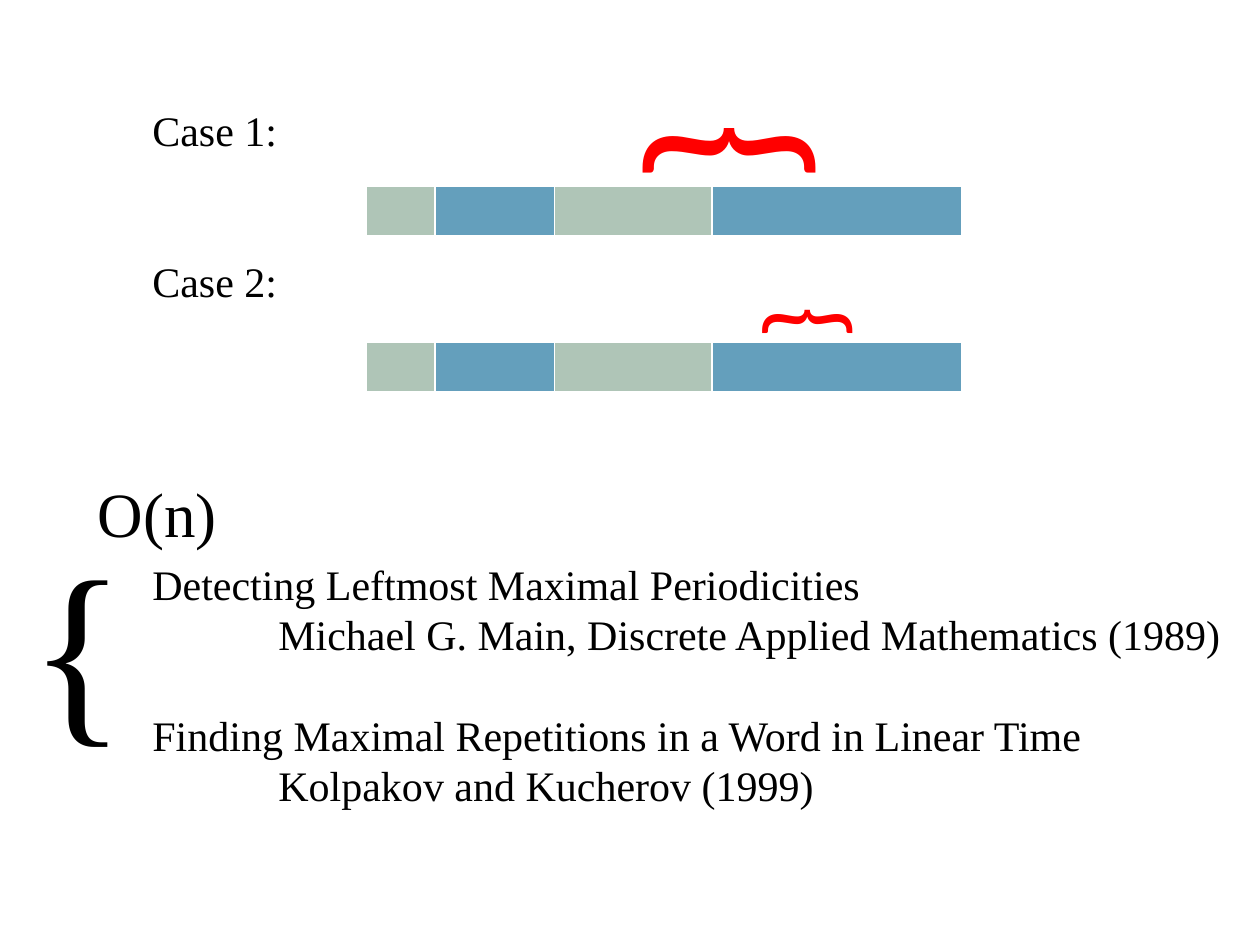
import pptx
import pptx.dml.color
import pptx.enum.text
import pptx.oxml
import pptx.oxml.ns
import pptx.util
from pptx.util import Pt

BLACK = pptx.dml.color.RGBColor(0x00, 0x00, 0x00)
RED = pptx.dml.color.RGBColor(0xFF, 0x00, 0x00)
WHITE = pptx.dml.color.RGBColor(0xFF, 0xFF, 0xFF)
SAGE = pptx.dml.color.RGBColor(0xAF, 0xC5, 0xB7)
BLUE = pptx.dml.color.RGBColor(0x64, 0x9F, 0xBC)

SERIF = "Times New Roman"
SANS = "Calibri"
LINE = 28.8
TAB_STOP = 72

# Each line of the outline with the number of lines left free above it
OUTLINE = [
    ("Case 1:", 0),
    ("Case 2:", 2),
    ("Detecting Leftmost Maximal Periodicities", 5),
    ("\tMichael G. Main, Discrete Applied Mathematics (1989)", 0),
    ("Finding Maximal Repetitions in a Word in Linear Time", 1),
    ("\tKolpakov and Kucherov (1999)", 0),
]

# Factors of the word: width and colour
FACTORS = [(39, SAGE), (68.4, BLUE), (90, SAGE), (142.6, BLUE)]
BORDERS = {"a:lnL": 1, "a:lnR": 1, "a:lnT": 1, "a:lnB": 3}


def add_text_frame(slide, left, top, width, height, rotation=0):
    box = slide.shapes.add_textbox(Pt(left), Pt(top), Pt(width), Pt(height))
    box.rotation = rotation
    box.text_frame.word_wrap = False
    return box.text_frame


def set_font(paragraph, name, size, color):
    paragraph.font.name = name
    paragraph.font.size = Pt(size)
    paragraph.font.color.rgb = color


def add_tab_stop(paragraph):
    tabs = pptx.oxml.parse_xml(
        f'<a:tabLst {pptx.oxml.ns.nsdecls("a")}>'
        f'<a:tab pos="{Pt(TAB_STOP)}" algn="l"/></a:tabLst>'
    )
    paragraph._p.get_or_add_pPr().append(tabs)


def add_outline(slide):
    frame = add_text_frame(slide, 80, 56.2, 630.7, 443.5)
    for index, (text, free_lines) in enumerate(OUTLINE):
        paragraph = frame.paragraphs[0] if index == 0 else frame.add_paragraph()
        paragraph.text = text
        if text.startswith("\t"):
            add_tab_stop(paragraph)
        paragraph.line_spacing = Pt(LINE)
        if free_lines:
            paragraph.space_before = Pt(free_lines * LINE)
        set_font(paragraph, SERIF, 24, BLACK)


def add_symbol(slide, text, place, font, size, color, rotation=0):
    paragraph = add_text_frame(slide, *place, rotation).paragraphs[0]
    paragraph.text = text
    paragraph.alignment = pptx.enum.text.PP_ALIGN.CENTER
    set_font(paragraph, font, size, color)


def add_borders(cell):
    properties = cell._tc.get_or_add_tcPr()
    for position, (tag, width) in enumerate(BORDERS.items()):
        border = pptx.oxml.parse_xml(
            f'<{tag} {pptx.oxml.ns.nsdecls("a")} w="{Pt(width)}">'
            f'<a:solidFill><a:srgbClr val="{WHITE}"/></a:solidFill></{tag}>'
        )
        properties.insert(position, border)


def add_word(slide, top):
    total = sum(width for width, _ in FACTORS)
    word = slide.shapes.add_table(
        1, len(FACTORS), Pt(209.5), Pt(top), Pt(total), Pt(29.2)
    ).table
    for index, (width, color) in enumerate(FACTORS):
        word.columns[index].width = Pt(width)
        cell = word.cell(0, index)
        cell.fill.solid()
        cell.fill.fore_color.rgb = color
        add_borders(cell)


def main():
    presentation = pptx.Presentation()
    presentation.slide_width = Pt(720)
    presentation.slide_height = Pt(540)
    slide = presentation.slides.add_slide(presentation.slide_layouts[6])

    # Case labels and references, with their running time
    add_outline(slide)
    add_symbol(slide, "{", (9.4, 293, 70.6, 146.9), SERIF, 115, BLACK)
    add_symbol(slide, "O(n)", (48.2, 267.8, 83.5, 51.1), SERIF, 36, BLACK)

    # The factored word of each case
    for top in (106.6, 195.4):
        add_word(slide, top)

    # Repetitions marked above the words
    add_symbol(slide, "}", (380.2, 13.7, 51.1, 146.9), SANS, 115, RED, 270)
    add_symbol(slide, "}", (438.5, 144.7, 33.8, 79.9), SANS, 60, RED, 270)

    presentation.save("out.pptx")


if __name__ == "__main__":
    main()
